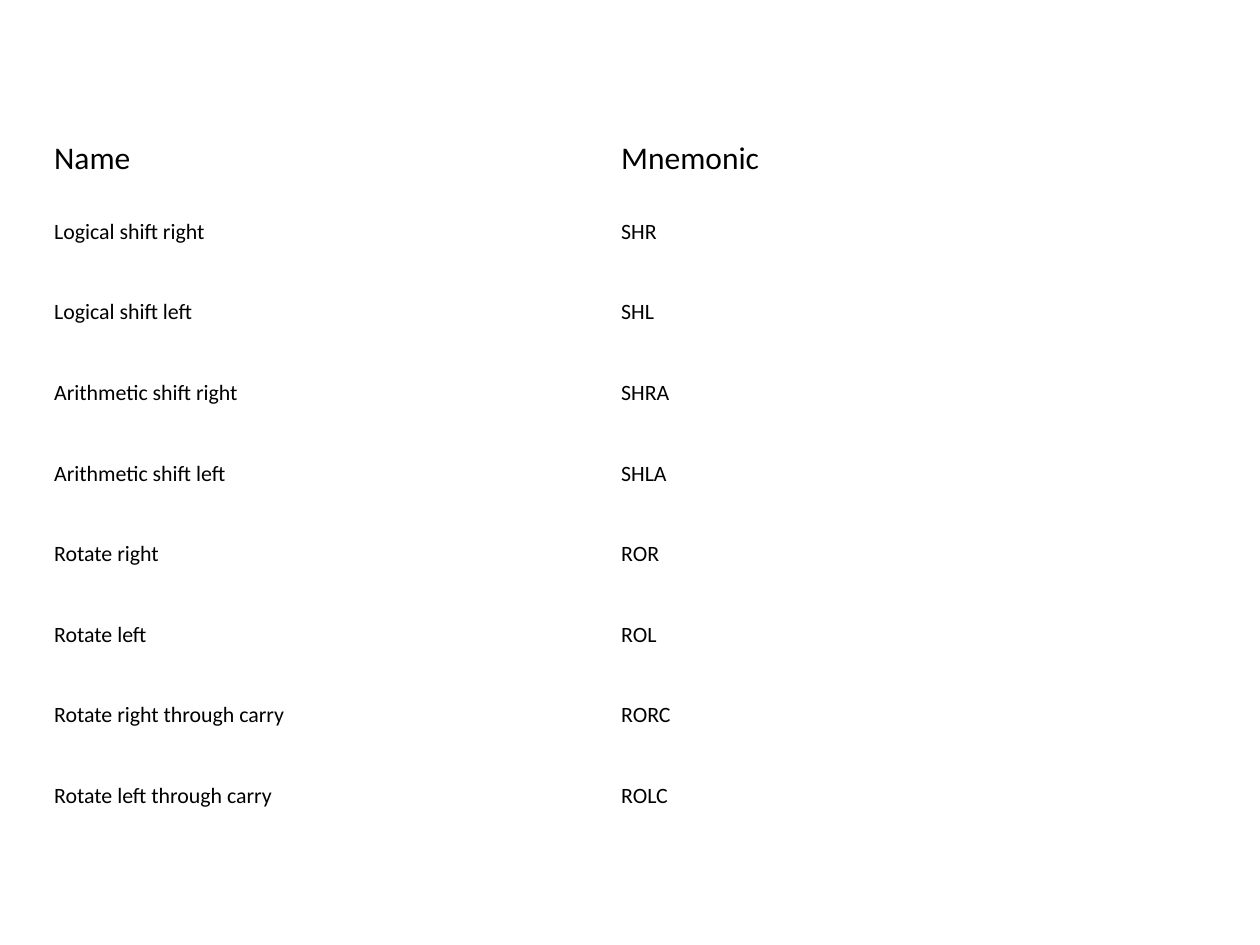
import dataclasses

import pptx
import pptx.dml.color
import pptx.enum.text
import pptx.util
from pptx.util import Inches


@dataclasses.dataclass(frozen=True)
class Theme:
    font: str = "Calibri"
    ink: str = "000000"
    paper: str = "FFFFFF"
    head: float = 18
    body: float = 12.5


theme = Theme()
ink = pptx.dml.color.RGBColor.from_string(theme.ink)
paper = pptx.dml.color.RGBColor.from_string(theme.paper)

rows = [
    ("Name", "Mnemonic"),
    ("Logical shift right", "SHR"),
    ("Logical shift left", "SHL"),
    ("Arithmetic shift right", "SHRA"),
    ("Arithmetic shift left", "SHLA"),
    ("Rotate right", "ROR"),
    ("Rotate left", "ROL"),
    ("Rotate right through carry", "RORC"),
    ("Rotate left through carry", "ROLC"),
]

deck = pptx.Presentation()
deck.slide_width = Inches(10)
deck.slide_height = Inches(7.5)
slide = deck.slides.add_slide(deck.slide_layouts[6])

frame = slide.shapes.add_table(
    len(rows), 2, Inches(0.33), Inches(1), Inches(9), Inches(5.67)
)
table = frame.table
table.horz_banding = False

for r, row in enumerate(rows):
    head = r == 0
    table.rows[r].height = Inches(0.52 if head else 0.64)
    for c, text in enumerate(row):
        cell = table.cell(r, c)
        cell.fill.solid()
        cell.fill.fore_color.rgb = paper
        cell.vertical_anchor = pptx.enum.text.MSO_ANCHOR.MIDDLE
        if not head:
            cell.margin_top = cell.margin_bottom = Inches(0.15)
        run = cell.text_frame.paragraphs[0].add_run()
        run.text = text
        run.font.name = theme.font
        run.font.size = pptx.util.Pt(theme.head if head else theme.body)
        run.font.bold = False
        run.font.color.rgb = ink

deck.save("out.pptx")
